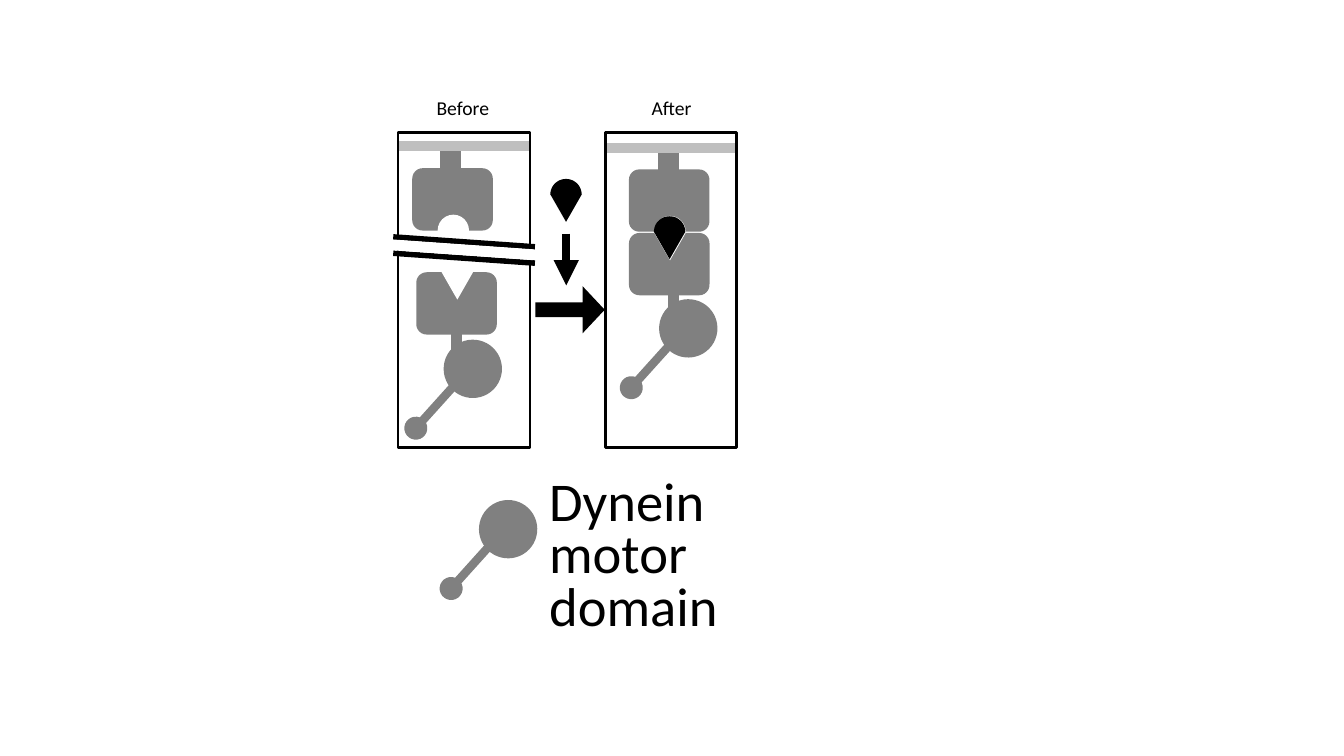
"""Build a slide that shows a dynein motor domain before and after recruitment."""
from math import cos, pi, sin

from lxml.etree import SubElement
from pptx import Presentation
from pptx.dml.color import RGBColor
from pptx.enum.shapes import MSO_CONNECTOR, MSO_SHAPE
from pptx.enum.text import MSO_AUTO_SIZE, PP_ALIGN
from pptx.oxml.ns import qn
from pptx.util import Cm, Pt

BLACK = RGBColor(0x00, 0x00, 0x00)
WHITE = RGBColor(0xFF, 0xFF, 0xFF)
GRAY = RGBColor(0x80, 0x80, 0x80)
LIGHT_GRAY = RGBColor(0xBF, 0xBF, 0xBF)

BLOCK_WIDTH, BLOCK_HEIGHT = 2.03, 1.57
SITE_WIDTH, SITE_OFFSET = 0.79, 0.64
POINT_HEIGHT = 0.69
PANEL_TOP, PANEL_HEIGHT = 3.33, 7.95


def add_filled(shapes, kind, left, top, width, height, color, rotation=0):
    """Add a preset shape with a plain fill and no outline."""
    shape = shapes.add_shape(kind, Cm(left), Cm(top), Cm(width), Cm(height))
    shape.shadow.inherit = False
    shape.fill.solid()
    shape.fill.fore_color.rgb = color
    shape.line.fill.background()
    shape.rotation = rotation
    return shape


def add_line(shapes, start, end, color, width, arrow=False):
    """Add a straight line, with an arrowhead at its end on request."""
    connector = shapes.add_connector(
        MSO_CONNECTOR.STRAIGHT, Cm(start[0]), Cm(start[1]), Cm(end[0]), Cm(end[1])
    )
    connector.line.color.rgb = color
    connector.line.width = Pt(width)
    if arrow:
        SubElement(connector.line._get_or_add_ln(), qn("a:tailEnd"), type="triangle")
    SubElement(connector._element.spPr, qn("a:effectLst"))
    return connector


def add_text(slide, text, left, top, width, height, size=14,
             alignment=PP_ALIGN.CENTER, spacing=None):
    """Add a text box with one paragraph for each line of the text."""
    box = slide.shapes.add_textbox(Cm(left), Cm(top), Cm(width), Cm(height))
    frame = box.text_frame
    frame.word_wrap = False
    frame.auto_size = MSO_AUTO_SIZE.SHAPE_TO_FIT_TEXT
    frame.text = text
    for paragraph in frame.paragraphs:
        paragraph.alignment = alignment
        paragraph.line_spacing = spacing
        paragraph.font.name = "Calibri"
        paragraph.font.size = Pt(size)
        paragraph.font.color.rgb = BLACK


def add_panel(slide, left, width):
    """Add the outlined frame of one state."""
    frame = slide.shapes.add_shape(
        MSO_SHAPE.RECTANGLE, Cm(left), Cm(PANEL_TOP), Cm(width), Cm(PANEL_HEIGHT)
    )
    frame.shadow.inherit = False
    frame.fill.background()
    frame.line.color.rgb = BLACK
    frame.line.width = Pt(2)


def add_membrane(slide, left, right, top, anchor_x, anchor_top):
    """Add a membrane with the anchor that hangs from it."""
    add_line(slide.shapes, (anchor_x, anchor_top), (anchor_x, anchor_top + 0.61), GRAY, 15)
    add_line(slide.shapes, (left, top), (right, top), LIGHT_GRAY, 7.5)


def add_anchor_block(slide, left, top):
    """Add the upper block with a round binding site."""
    shapes = slide.shapes.add_group_shape().shapes
    add_filled(shapes, MSO_SHAPE.ROUNDED_RECTANGLE, left, top, BLOCK_WIDTH, BLOCK_HEIGHT, GRAY)
    add_filled(shapes, MSO_SHAPE.OVAL, left + SITE_OFFSET, top + 1.17,
               SITE_WIDTH, SITE_WIDTH, WHITE)


def add_point(shapes, left, top, color):
    """Add a triangle that points down."""
    add_filled(shapes, MSO_SHAPE.ISOSCELES_TRIANGLE, left, top,
               SITE_WIDTH, POINT_HEIGHT, color, 180)


def add_motor_block(slide, left, top):
    """Add the lower block with a pointed binding site."""
    shapes = slide.shapes.add_group_shape().shapes
    add_filled(shapes, MSO_SHAPE.ROUNDED_RECTANGLE, left, top,
               BLOCK_WIDTH, BLOCK_HEIGHT, GRAY, 180)
    add_point(shapes, left + SITE_OFFSET, top, WHITE)


def add_dimerizer(slide, left, top):
    """Add the linking molecule: a point with a dome whose base is at top."""
    shapes = slide.shapes.add_group_shape().shapes
    add_point(shapes, left, top, BLACK)
    radius = SITE_WIDTH / 2
    outline = []
    for step in range(48):
        angle = pi + step * pi / 24
        rise = 0.39 if angle < 2 * pi else 0.05
        outline.append((Cm(left + radius + radius * cos(angle)), Cm(top + rise * sin(angle))))
    builder = shapes.build_freeform(*outline[0])
    builder.add_line_segments(outline[1:], close=True)
    dome = builder.convert_to_shape()
    dome.shadow.inherit = False
    dome.fill.solid()
    dome.fill.fore_color.rgb = BLACK
    dome.line.fill.background()


def add_linker(slide, center, top):
    """Add the short link between a block and its motor domain."""
    add_line(slide.shapes, (center, top), (center, top + 0.71), GRAY, 7.5)


def add_motor_domain(slide, left, top):
    """Add a motor domain: head, stalk and tip."""
    shapes = slide.shapes.add_group_shape().shapes
    add_filled(shapes, MSO_SHAPE.OVAL, left, top, 1.47, 1.47, GRAY, 21.5)
    add_line(shapes, (left + 0.53, top + 0.86), (left - 0.64, top + 2.16), GRAY, 6)
    add_filled(shapes, MSO_SHAPE.OVAL, left - 0.99, top + 1.94, 0.58, 0.58, GRAY, 21.5)


def add_break(slide):
    """Add the slanted gap across the first panel."""
    shapes = slide.shapes.add_group_shape().shapes
    for left, top, color, width in (
        (9.91, 6.38, BLACK, 4), (9.91, 5.97, BLACK, 4), (9.88, 6.17, WHITE, 7.75)
    ):
        add_line(shapes, (left, top), (left + 3.57, top + 0.25), color, width)


def add_process_arrows(slide):
    """Add the arrow between the panels and the one that feeds it."""
    arrow = add_filled(slide.shapes, MSO_SHAPE.DOWN_ARROW, 13.77, 6.93, 1.19, 1.75, BLACK, 270)
    arrow.adjustments[0] = 0.317
    arrow.adjustments[1] = 0.469
    add_line(slide.shapes, (14.27, 5.89), (14.27, 7.19), BLACK, 6, arrow=True)


def main():
    """Build and save the presentation."""
    presentation = Presentation()
    presentation.slide_width = Cm(33.87)
    presentation.slide_height = Cm(19.05)
    slide = presentation.slides.add_slide(presentation.slide_layouts[6])

    add_membrane(slide, 10.03, 13.34, 3.68, 11.35, 3.68)
    add_panel(slide, 10.03, 3.33)
    add_anchor_block(slide, 10.39, 4.24)
    add_motor_block(slide, 10.49, 6.86)
    add_linker(slide, 11.51, 8.41)
    add_break(slide)
    add_motor_domain(slide, 11.18, 8.56)
    add_text(slide, "Before", 10.74, 2.29, 1.85, 0.86)

    add_anchor_block(slide, 15.85, 4.27)
    add_motor_block(slide, 15.85, 5.87)
    add_dimerizer(slide, 16.48, 5.84)
    add_linker(slide, 16.97, 7.24)
    add_motor_domain(slide, 16.61, 7.54)
    add_membrane(slide, 15.24, 18.57, 3.73, 16.84, 3.76)
    add_panel(slide, 15.27, 3.3)
    add_text(slide, "After", 16.15, 2.29, 1.55, 0.86)

    add_motor_domain(slide, 12.07, 12.6)
    add_text(slide, "Dynein\nmotor\ndomain", 13.59, 11.96, 4.8, 4.29,
             size=39, alignment=PP_ALIGN.LEFT, spacing=0.8)
    add_dimerizer(slide, 13.87, 4.9)
    add_process_arrows(slide)
    presentation.save("out.pptx")


if __name__ == "__main__":
    main()
